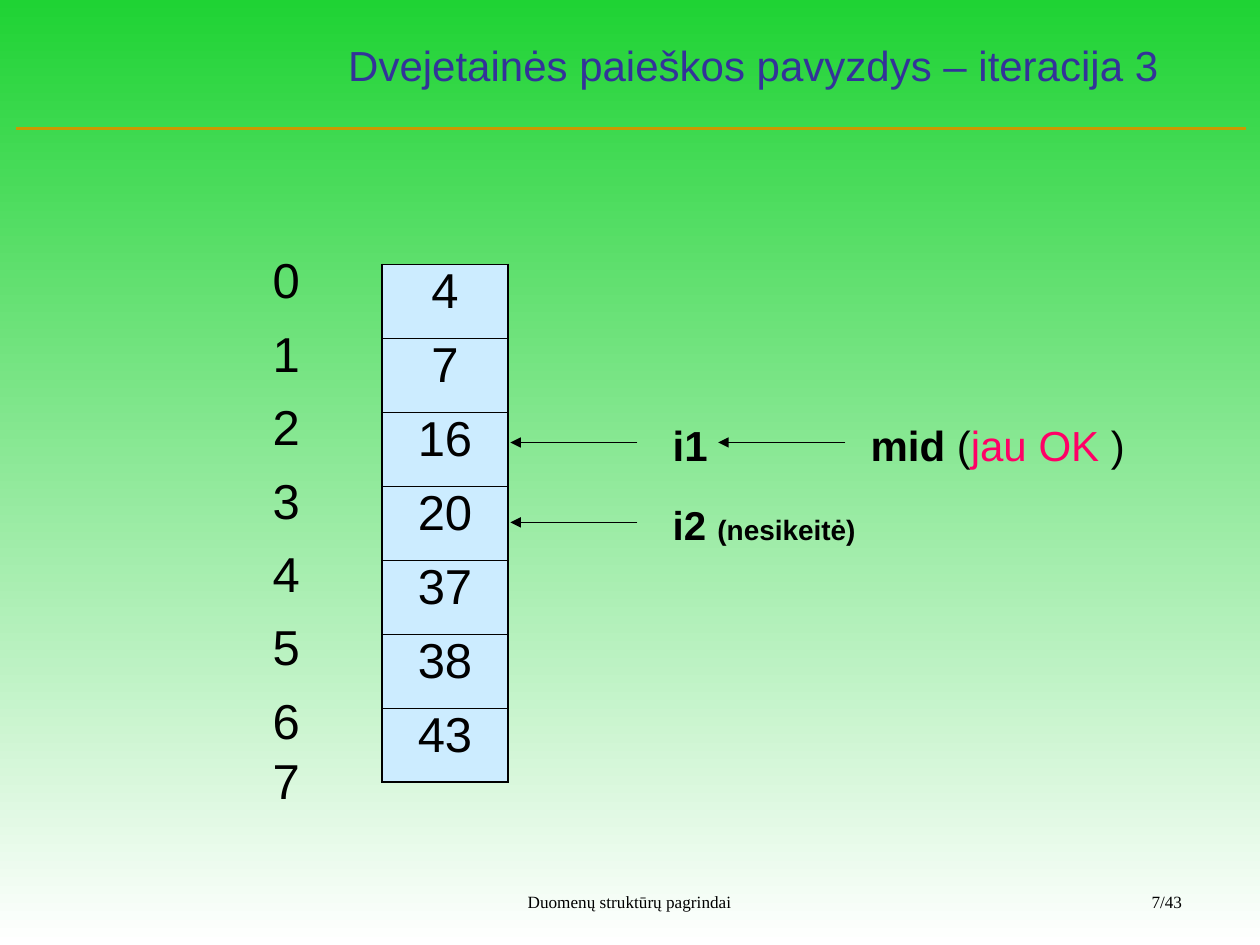
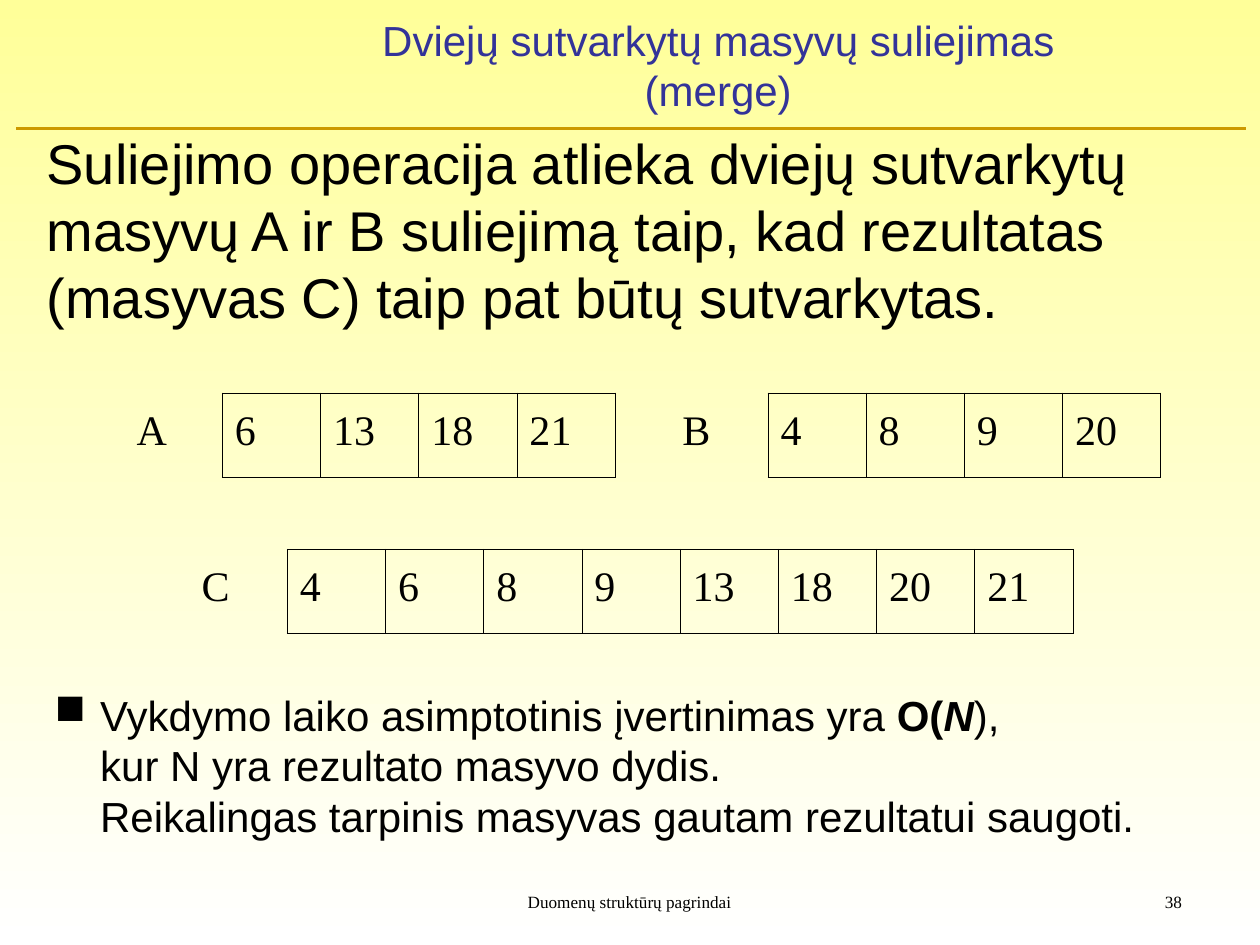
from dataclasses import dataclass

from lxml.etree import SubElement
from pptx import Presentation
from pptx.dml.color import RGBColor
from pptx.enum.shapes import MSO_CONNECTOR
from pptx.enum.text import MSO_ANCHOR, PP_ALIGN
from pptx.oxml.ns import qn
from pptx.util import Cm, Pt


# Colours, fonts and type sizes
@dataclass(frozen=True)
class Theme:
    ink: str = "000000"
    title: str = "333399"
    rule: str = "CC9900"
    cell: str = "CCECFF"
    note: str = "FF0066"
    green: str = "1FD334"
    yellow: str = "FFFF99"
    white: str = "FFFFFF"
    sans: str = "Arial"
    serif: str = "Times New Roman"
    foot: float = 9.8
    small: int = 16
    label: int = 23
    text: int = 24
    value: int = 28
    lead: int = 32


THEME = Theme()
FOOTER = "Duomenų struktūrų pagrindai"
SANS = {"name": THEME.sans, "size": Pt(THEME.text)}
SERIF = {"name": THEME.serif, "size": Pt(THEME.text)}
TITLE = SANS | {"color": THEME.title}
LEAD = SANS | {"size": Pt(THEME.lead)}
FOOT = SERIF | {"size": Pt(THEME.foot)}
VALUE = SANS | {"size": Pt(THEME.value)}
BOLD = SANS | {"bold": True}

# Paragraph formats
CENTER = {"alignment": PP_ALIGN.CENTER}
STACK = CENTER | {"line_spacing": 0.87, "space_before": Pt(7)}
ROW = {"line_spacing": 0.76, "space_before": Pt(6)}

# Widths of cell borders
THIN, THICK = 0.45, 1.08


def rgb(code):
    return RGBColor.from_string(code)


def apply(item, form):
    for key, value in form.items():
        if key == "color":
            item.color.rgb = rgb(value)
        else:
            setattr(item, key, value)


# Text: runs are (text, format) pairs, and a line feed breaks the line
def fill_para(para, runs, form):
    apply(para, form)
    for text, font in runs:
        for num, line in enumerate(text.split("\n")):
            if num:
                para.add_line_break()
            run = para.add_run()
            run.text = line
            apply(run.font, {"color": THEME.ink} | font)


def add_text(slide, place, runs, form={}, **frame):
    box = slide.shapes.add_textbox(*map(Cm, place))
    apply(box.text_frame, {"word_wrap": True} | frame)
    para = box.text_frame.paragraphs[0]
    fill_para(para, runs, form)
    return para


def add_bullet(para, char, indent):
    props = para._p.get_or_add_pPr()
    props.set("marL", str(Cm(indent)))
    props.set("indent", str(-Cm(indent)))
    tint = SubElement(props, qn("a:buClr"))
    SubElement(tint, qn("a:srgbClr"), val=THEME.ink)
    SubElement(props, qn("a:buChar"), char=char)


# Lines and arrows
def add_line(slide, start, end, color, width, arrow=False):
    line = slide.shapes.add_connector(MSO_CONNECTOR.STRAIGHT, *map(Cm, start + end))
    line.line.color.rgb = rgb(color)
    line.line.width = Pt(width)
    props = line._element.spPr
    if arrow:
        SubElement(props.find(qn("a:ln")), qn("a:tailEnd"), type="triangle")
    SubElement(props, qn("a:effectLst"))


# Tables
def set_edges(cell, edges):
    props = cell._tc.get_or_add_tcPr()
    for side in "LRTB":
        width = edges.get(side, 0)
        line = SubElement(props, qn(f"a:ln{side}"), w=str(Pt(width)))
        if width:
            paint = SubElement(line, qn("a:solidFill"))
            SubElement(paint, qn("a:srgbClr"), val=THEME.ink)
        else:
            SubElement(line, qn("a:noFill"))


def add_grid(slide, left, top, widths, heights):
    size = left, top, sum(widths), sum(heights)
    table = slide.shapes.add_table(len(heights), len(widths), *map(Cm, size)).table
    apply(table, {"first_row": False, "horz_banding": False})
    for col, width in zip(table.columns, widths):
        col.width = Cm(width)
    for row, height in zip(table.rows, heights):
        row.height = Cm(height)
    return table


def fill_cell(cell, text, font, form, edges, color=None):
    set_edges(cell, edges)
    if color:
        cell.fill.solid()
        cell.fill.fore_color.rgb = rgb(color)
    else:
        cell.fill.background()
    frame = cell.text_frame
    for num, line in enumerate(text.split("\n")):
        para = frame.add_paragraph() if num else frame.paragraphs[0]
        fill_para(para, [(line, font)], form)


def add_stack(slide, left, top, heights, texts, color=None):
    table = add_grid(slide, left, top, [2.54], heights)
    last = len(texts) - 1
    for num, text in enumerate(texts):
        edges = {}
        if color:
            edges = {"L": THICK, "R": THICK,
                     "T": THIN if num else THICK,
                     "B": THIN if num < last else THICK}
        fill_cell(table.cell(num, 0), text, VALUE, STACK, edges, color)


def add_array(slide, left, top, name, values):
    texts = [name, *map(str, values)]
    table = add_grid(slide, left, top, [1.98] * len(texts), [1.7])
    for num, text in enumerate(texts):
        cell = table.cell(0, num)
        edges = dict.fromkeys("LRTB", THIN) if num else {"R": THIN}
        fill_cell(cell, text, SERIF, ROW, edges)
        cell.vertical_anchor = MSO_ANCHOR.MIDDLE


# Shared frame: background, title, rule and footer
def add_slide(deck, color, title, left, width, page):
    slide = deck.slides.add_slide(deck.slide_layouts[6])
    fill = slide.background.fill
    fill.gradient()
    fill.gradient_angle = 270
    for stop, code in zip(fill.gradient_stops, (color, THEME.white)):
        stop.color.rgb = rgb(code)
    add_text(slide, (left, 0.53, width, 1.55), [(title, TITLE)], CENTER,
             vertical_anchor=MSO_ANCHOR.MIDDLE)
    foot = {"line_spacing": 0.8}
    add_text(slide, (8.69, 17.93, 8, 0.69), [(FOOTER, FOOT)], foot | CENTER)
    add_text(slide, (18.21, 17.93, 5.87, 0.69), [(page, FOOT)],
             foot | {"alignment": PP_ALIGN.RIGHT})
    add_line(slide, (0.33, 2.59), (25.12, 2.59), THEME.rule, 1.5)
    return slide


def add_search(deck):
    slide = add_slide(deck, THEME.green, "Dvejetainės paieškos pavyzdys – iteracija 3",
                      5.89, 18.59, "7/43")
    values = [4, 7, 16, 20, 37, 38, 43]
    add_stack(slide, 7.7, 5.33, [1.49] * 7, list(map(str, values)), THEME.cell)
    add_stack(slide, 4.5, 5.13, [1.48] * 6 + [2.87], [*"012345", "6\n7"])

    # Pointers into the array
    for right, top in ((12.85, 8.92), (17.04, 8.92), (12.85, 10.53)):
        add_line(slide, (right, top), (right - 2.56, top), THEME.ink, 0.75, True)
    add_text(slide, (13.31, 8.33, 1.22, 1.27), [("i1", BOLD)], word_wrap=False)
    add_text(slide, (17.3, 8.33, 5.64, 1.27),
             [("mid", BOLD), (" (", SANS), ("jau OK", SANS | {"color": THEME.note}),
              (" )", SANS)], word_wrap=False)
    add_text(slide, (13.31, 9.96, 8, 1.24),
             [("i2 ", BOLD | {"size": Pt(THEME.label)}),
              ("(nesikeitė)", BOLD | {"size": Pt(THEME.small)})])


def add_merge(deck):
    slide = add_slide(deck, THEME.yellow, "Dviejų sutvarkytų masyvų suliejimas (merge)",
                      6.3, 16.36, "38")
    lead = ("Suliejimo operacija atlieka dviejų sutvarkytų masyvų A ir B suliejimą taip, "
            "kad rezultatas (masyvas C) taip pat būtų sutvarkytas.")
    add_text(slide, (0.94, 2.59, 23.11, 4.52), [(lead, LEAD)], {"space_before": Pt(8)},
             margin_left=0, margin_right=0, margin_top=0, margin_bottom=0)

    # Two sorted arrays and their merge
    first, second = [6, 13, 18, 21], [4, 8, 9, 20]
    add_array(slide, 2.5, 7.92, "A", first)
    add_array(slide, 13.5, 7.92, "B", second)
    add_array(slide, 3.81, 11.07, "C", sorted(first + second))

    # Cost
    runs = [("Vykdymo laiko asimptotinis įvertinimas yra ", SANS), ("O(", BOLD),
            ("N", BOLD | {"italic": True}),
            ("),\nkur N yra rezultato masyvo dydis.\n"
             "Reikalingas tarpinis masyvas gautam rezultatui saugoti.", SANS)]
    para = add_text(slide, (0.85, 13.77, 23.44, 3.3), runs, {"space_before": Pt(6)})
    add_bullet(para, "■", 0.92)


def main():
    deck = Presentation()
    apply(deck, {"slide_width": Cm(25.4), "slide_height": Cm(19.05)})
    add_search(deck)
    add_merge(deck)
    deck.save("out.pptx")


if __name__ == "__main__":
    main()
